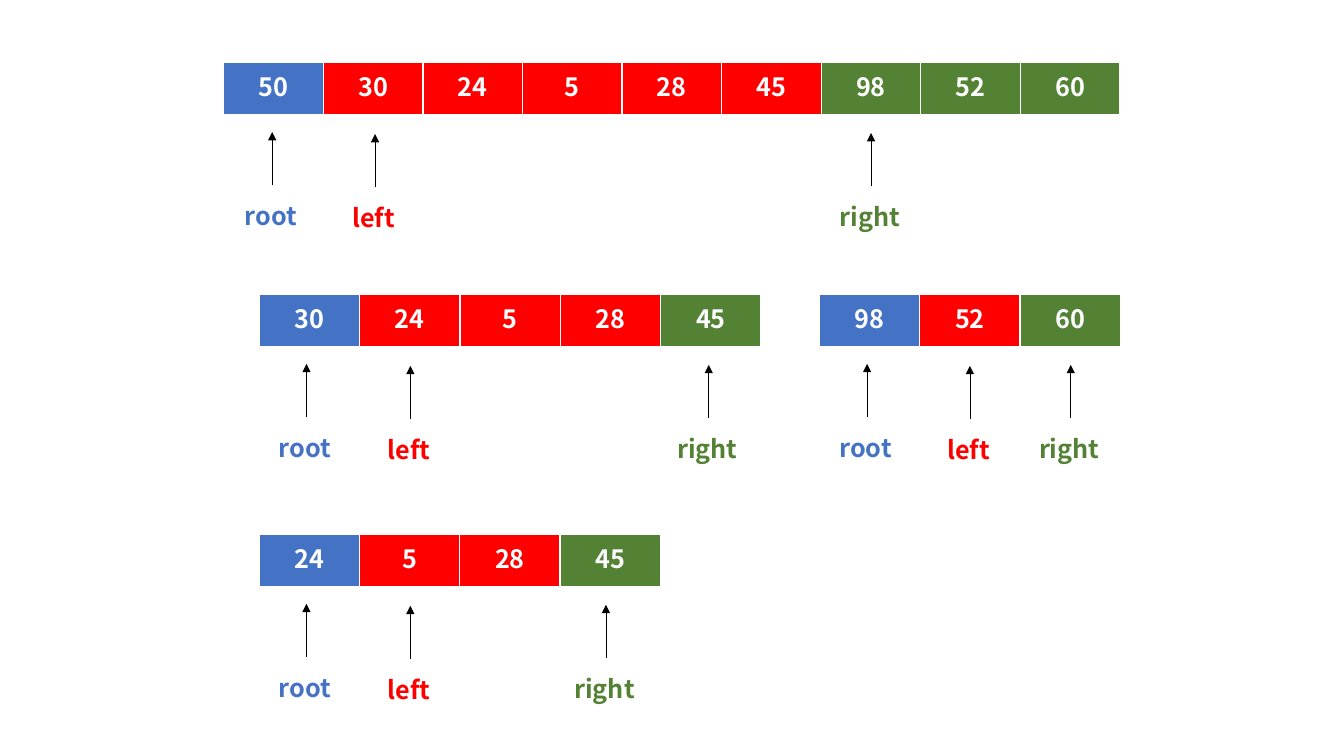
from lxml import etree
from pptx import Presentation
from pptx.dml.color import RGBColor
from pptx.enum.shapes import MSO_CONNECTOR
from pptx.enum.text import MSO_AUTO_SIZE, PP_ALIGN
from pptx.oxml.ns import qn
from pptx.util import Inches, Pt

STRAIGHT = MSO_CONNECTOR.STRAIGHT
CENTER = PP_ALIGN.CENTER
GROW = MSO_AUTO_SIZE.SHAPE_TO_FIT_TEXT

COLORS = {
    "root": "4472C4",
    "left": "FF0000",
    "right": "548235",
    "white": "FFFFFF",
    "black": "000000",
}
FONT = {"name": "Noto Sans CJK KR", "size": Pt(18), "bold": True}
BORDERS = {"lnL": 1, "lnR": 1, "lnT": 1, "lnB": 3}
ROW_H = 0.53
ARROW_H = 0.53
LABEL_W, LABEL_H = 0.92, 0.4
LABEL_GAP = 0.63
# Distance from the top of an array to each arrow tip
DROPS = {"root": 0.69, "right": 0.7, "left": 0.71}

# Left, top, width, values by part, arrow positions by part
ARRAYS = [
    (2.22, 0.62, 8.89,
     {"root": [50], "left": [30, 24, 5, 28, 45], "right": [98, 52, 60]},
     {"root": 2.7, "right": 8.64, "left": 3.72}),
    (2.57, 2.92, 4.98,
     {"root": [30], "left": [24, 5, 28], "right": [45]},
     {"root": 3.04, "right": 7.03, "left": 4.07}),
    (8.13, 2.92, 2.98,
     {"root": [98], "left": [52], "right": [60]},
     {"root": 8.6, "right": 10.62, "left": 9.62}),
    (2.57, 5.3, 3.98,
     {"root": [24], "left": [5, 28], "right": [45]},
     {"root": 3.04, "right": 6.01, "left": 4.07}),
]


class Board:
    """Draws styled arrays and pointers on one slide."""

    def __init__(self, slide):
        self.shapes = slide.shapes

    def rgb(self, name):
        return RGBColor.from_string(COLORS[name])

    def text(self, frame, words, color):
        para = frame.paragraphs[0]
        para.alignment = CENTER
        run = para.add_run()
        run.text = words
        for key, value in FONT.items():
            setattr(run.font, key, value)
        run.font.color.rgb = self.rgb(color)

    def border(self, cell):
        props = cell._tc.get_or_add_tcPr()
        for side, width in BORDERS.items():
            line = etree.SubElement(props, qn(f"a:{side}"), w=str(Pt(width)))
            fill = etree.SubElement(line, qn("a:solidFill"))
            etree.SubElement(fill, qn("a:srgbClr"), val=COLORS["white"])

    def array(self, x, y, width, parts):
        items = [(part, val) for part, vals in parts.items() for val in vals]
        table = self.shapes.add_table(
            1, len(items), Inches(x), Inches(y), Inches(width), Inches(ROW_H)
        ).table
        table.first_row = table.horz_banding = False
        for cell, (part, val) in zip(table.iter_cells(), items):
            self.border(cell)
            cell.fill.solid()
            cell.fill.fore_color.rgb = self.rgb(part)
            self.text(cell.text_frame, str(val), "white")

    def arrow(self, shapes, x, tip):
        link = shapes.add_connector(
            STRAIGHT, Inches(x), Inches(tip + ARROW_H), Inches(x), Inches(tip))
        link.line.width = Pt(0.5)
        link.line.color.rgb = self.rgb("black")
        props = link._element.spPr
        etree.SubElement(props.find(qn("a:ln")), qn("a:tailEnd"),
                         type="triangle")
        etree.SubElement(props, qn("a:effectLst"))

    def label(self, shapes, x, y, part):
        box = shapes.add_textbox(
            Inches(x), Inches(y), Inches(LABEL_W), Inches(LABEL_H))
        frame = box.text_frame
        frame.word_wrap = True
        frame.auto_size = GROW
        self.text(frame, part, part)

    def pointer(self, x, tip, part):
        """Groups an arrow with the label below it."""
        shapes = self.shapes.add_group_shape().shapes
        self.arrow(shapes, x, tip)
        self.label(shapes, x - 0.475, tip + LABEL_GAP, part)


def main():
    deck = Presentation()
    deck.slide_width, deck.slide_height = Inches(13.33), Inches(7.5)
    board = Board(deck.slides.add_slide(deck.slide_layouts[6]))
    for x, y, width, parts, marks in ARRAYS:
        board.array(x, y, width, parts)
        for part, mark in marks.items():
            board.pointer(mark, y + DROPS[part], part)
    deck.save("out.pptx")


if __name__ == "__main__":
    main()
